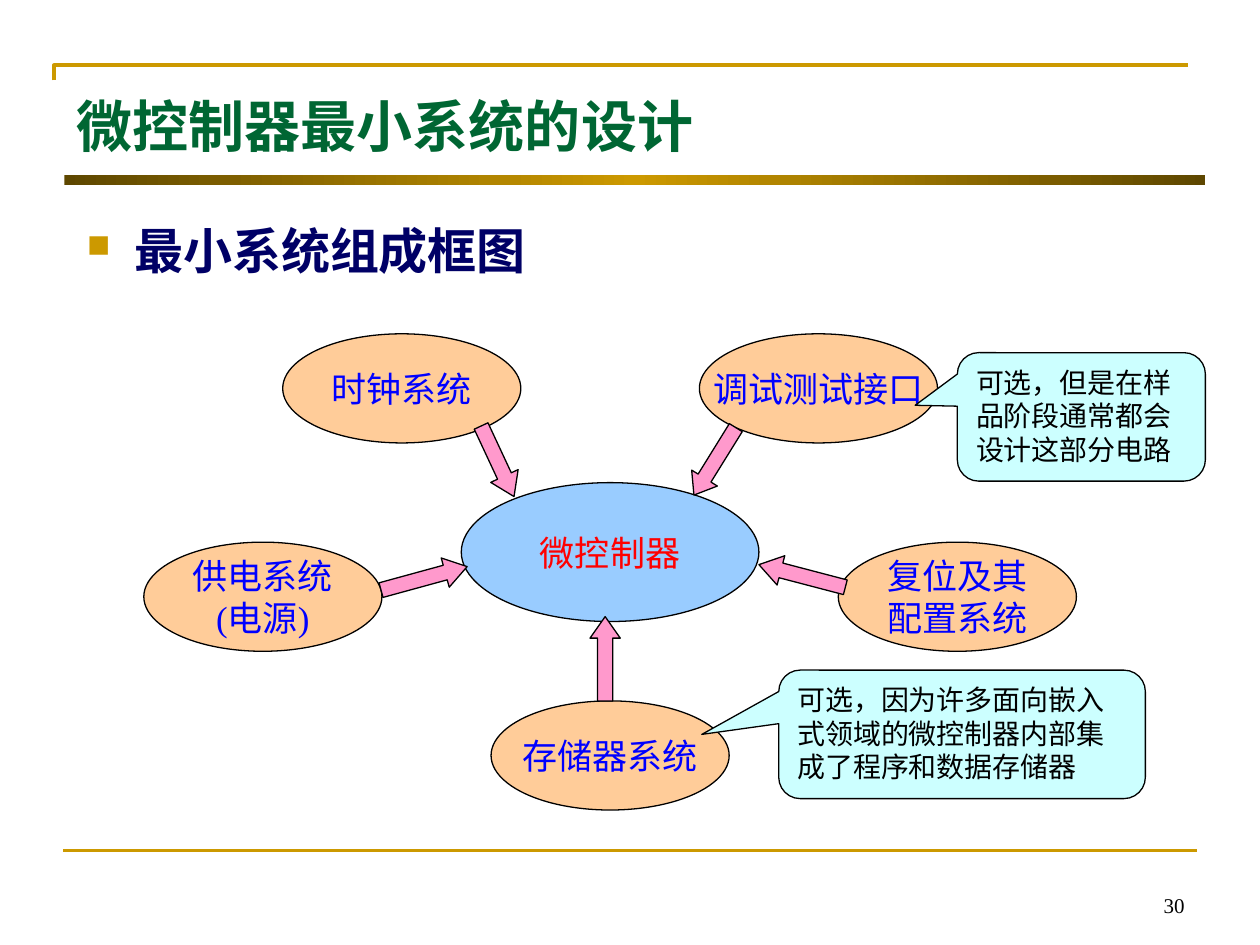
from copy import deepcopy

from lxml.etree import SubElement
from pptx import Presentation
from pptx.dml.color import RGBColor
from pptx.enum.shapes import MSO_CONNECTOR, MSO_SHAPE
from pptx.enum.text import MSO_ANCHOR, PP_ALIGN
from pptx.oxml.ns import qn
from pptx.util import Cm, Pt

COLORS = {
    "gold": "CC9900", "brown": "5E4700", "green": "006633", "navy": "000066",
    "blue": "0000FF", "red": "FF0000", "black": "000000", "sky": "99CCFF",
    "peach": "FFCC99", "pink": "FF99CC", "aqua": "CCFFFF",
}
RGB = {name: RGBColor.from_string(value) for name, value in COLORS.items()}


def add_outlined(kind, left, top, width, height, fill):
    """Add a filled preset shape with a thin black outline."""
    shape = slide.shapes.add_shape(kind, Cm(left), Cm(top), Cm(width), Cm(height))
    shape.shadow.inherit = False
    shape.fill.solid()
    shape.fill.fore_color.rgb = RGB[fill]
    shape.line.color.rgb = RGB["black"]
    shape.line.width = Pt(0.75)
    return shape


def write_text(shape, text, size, color, align=PP_ALIGN.LEFT,
               anchor=MSO_ANCHOR.TOP, bold=False, wrap=True):
    text_frame = shape.text_frame
    text_frame.text = text
    text_frame.word_wrap = wrap
    text_frame.vertical_anchor = anchor
    for paragraph in text_frame.paragraphs:
        paragraph.alignment = align
        for run in paragraph.runs:
            run.font.name = "Times New Roman"
            run.font.size = Pt(size)
            run.font.bold = bold
            run.font.color.rgb = RGB[color]


presentation = Presentation()
presentation.slide_width, presentation.slide_height = Cm(25.4), Cm(19.05)
slide = presentation.slides.add_slide(presentation.slide_layouts[6])

# Frame lines and the gradient bar
builder = slide.shapes.build_freeform(Cm(1.09), Cm(1.62))
builder.add_line_segments([(Cm(1.09), Cm(1.32)), (Cm(23.95), Cm(1.32))], close=False)
corner = builder.convert_to_shape()
corner.shadow.inherit = False
corner.fill.background()
corner.line.color.rgb = RGB["gold"]
corner.line.width = Pt(2.25)

footer_line = slide.shapes.add_connector(
    MSO_CONNECTOR.STRAIGHT, Cm(1.27), Cm(17.15), Cm(24.13), Cm(17.15))
footer_line.line.color.rgb = RGB["gold"]
footer_line.line.width = Pt(1.5)
SubElement(footer_line._element.spPr, qn("a:effectLst"))

bar = slide.shapes.add_shape(MSO_SHAPE.RECTANGLE, Cm(1.3), Cm(3.53), Cm(23), Cm(0.2))
bar.shadow.inherit = False
bar.line.fill.background()
bar.fill.gradient()
bar.fill.gradient_angle = 0
stop_list = bar._element.spPr.find(".//" + qn("a:gsLst"))
stop_list.insert(1, deepcopy(stop_list[0]))
for stop, position, color in zip(bar.fill.gradient_stops, (0, 0.5, 1),
                                 ("brown", "gold", "brown")):
    stop.position = position
    stop.color.rgb = RGB[color]

# Title and bullet
title = slide.shapes.add_textbox(Cm(1.3), Cm(1.73), Cm(22.86), Cm(2.16))
write_text(title, "微控制器最小系统的设计", 32, "green", bold=True)

heading = slide.shapes.add_textbox(Cm(1.5), Cm(4.32), Cm(11.4), Cm(1.6))
write_text(heading, "最小系统组成框图", 28, "navy", align=PP_ALIGN.JUSTIFY, bold=True)
properties = heading.text_frame.paragraphs[0]._p.get_or_add_pPr()
properties.set("marL", str(Cm(0.96)))
properties.set("indent", str(-Cm(0.96)))
bullet_color = SubElement(properties, qn("a:buClr"))
SubElement(bullet_color, qn("a:srgbClr"), val=COLORS["gold"])
SubElement(properties, qn("a:buSzPct"), val="65000")
SubElement(properties, qn("a:buChar"), char="■")

# Controller and the systems around it: offset from centre, size, fill, text
center_x, center_y = 12.3, 11.13
core, system = (6, 2.8), (4.8, 2.2)
ellipses = [
    (0, 0, core, "sky", "微控制器", "red"),
    (-4.2, -3.3, system, "peach", "时钟系统", "blue"),
    (4.2, -3.3, system, "peach", "调试测试接口", "blue"),
    (7, 0.9, system, "peach", "复位及其\n配置系统", "blue"),
    (0, 4.1, system, "peach", "存储器系统", "blue"),
    (-7, 0.9, system, "peach", "供电系统\n(电源)", "blue"),
]
for dx, dy, (width, height), fill, text, color in ellipses:
    ellipse = add_outlined(MSO_SHAPE.OVAL, center_x + dx - width / 2,
                           center_y + dy - height / 2, width, height, fill)
    write_text(ellipse, text, 20, color, align=PP_ALIGN.CENTER,
               anchor=MSO_ANCHOR.MIDDLE, wrap=False)

# Arrows: middle x, middle y, length, rotation, head length
thickness = 0.61
arrows = [
    (8.55, 11.66, 1.8, 344.7, 0.75),
    (10.03, 9.3, 1.57, 65, 0.75),
    (12.2, 13.28, 1.7, 270, 0.71),
    (14.41, 9.3, 1.6, 121.8, 0.66),
    (16.17, 11.61, 1.8, 194.7, 0.75),
]
for x, y, length, rotation, head in arrows:
    arrow = add_outlined(MSO_SHAPE.RIGHT_ARROW, x - length / 2, y - thickness / 2,
                         length, thickness, "pink")
    arrow.rotation = rotation
    arrow.adjustments[1] = head

# Callouts: left, top, width, pointer x, pointer y, text
callouts = [
    (15.7, 13.51, 7.39, -0.71, 0,
     "可选，因为许多面向嵌入式领域的微控制器内部集成了程序和数据存储器"),
    (19.3, 7.11, 5, -0.67, -0.09, "可选，但是在样品阶段通常都会设计这部分电路"),
]
for left, top, width, pointer_x, pointer_y, text in callouts:
    callout = add_outlined(MSO_SHAPE.ROUNDED_RECTANGULAR_CALLOUT,
                           left, top, width, 2.59, "aqua")
    callout.adjustments[0] = pointer_x
    callout.adjustments[1] = pointer_y
    write_text(callout, text, 16, "black")

page_number = slide.shapes.add_textbox(Cm(18.2), Cm(17.35), Cm(5.93), Cm(1.27))
write_text(page_number, "30", 12, "black", align=PP_ALIGN.RIGHT, anchor=MSO_ANCHOR.BOTTOM)

presentation.save("out.pptx")
